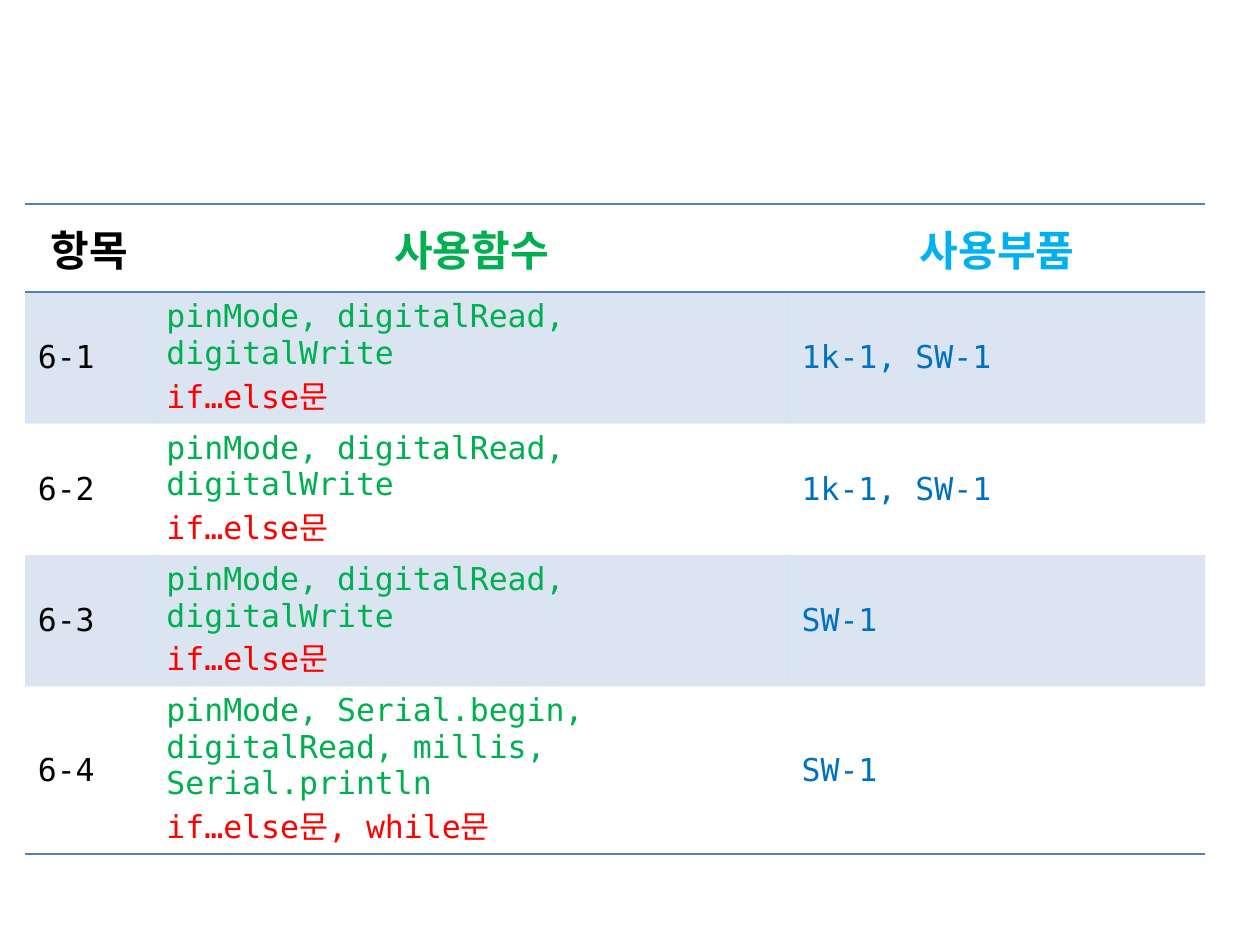
from lxml.etree import SubElement
from pptx import Presentation
from pptx.dml.color import RGBColor
from pptx.enum.text import MSO_ANCHOR as Anchor, PP_ALIGN as Align
from pptx.oxml.ns import qn
from pptx.util import Pt

BLUE = "4F81BD"
KOREAN_FACE = "Noto Sans CJK KR"
COLUMN_WIDTHS = (73.5, 363, 238)
ROW_HEIGHT = 50.4
HEADER_FORMAT = {"size": Pt(24), "name": KOREAN_FACE, "bold": True}
BODY_FORMAT = {"size": Pt(18), "name": "DejaVu Sans Mono", "bold": False}
HEADINGS = (("항목", "000000"), ("사용함수", "00B050"), ("사용부품", "00B0F0"))
DIGITAL = "pinMode, digitalRead, digitalWrite"
SERIAL = "pinMode, Serial.begin, digitalRead, millis, Serial.println"
EXERCISES = (
    ("6-1", DIGITAL, "if…else문", "1k-1, SW-1"),
    ("6-2", DIGITAL, "if…else문", "1k-1, SW-1"),
    ("6-3", DIGITAL, "if…else문", "SW-1"),
    ("6-4", SERIAL, "if…else문, while문", "SW-1"),
)


def color(value):
    """Turn a hex string into a colour."""
    return RGBColor.from_string(value)


def write_cell(cell, lines, text_format, align):
    """Write one coloured paragraph for each (wording, colour) pair."""
    cell.vertical_anchor = Anchor.MIDDLE
    for index, (wording, shade) in enumerate(lines):
        frame = cell.text_frame
        paragraph = frame.add_paragraph() if index else frame.paragraphs[0]
        paragraph.alignment = align
        run = paragraph.add_run()
        run.text = wording
        for key, value in text_format.items():
            setattr(run.font, key, value)
        run.font.color.rgb = color(shade)
        SubElement(run.font._element, qn("a:ea"), typeface=KOREAN_FACE)


def rule_cell(cell, sides):
    """Draw thin blue rules on the given sides of a cell, top first."""
    for side in sides:
        rule = SubElement(cell._tc.get_or_add_tcPr(), qn(f"a:ln{side}"), w=str(Pt(1)))
        SubElement(SubElement(rule, qn("a:solidFill")), qn("a:srgbClr"), val=BLUE)


def fill_cell(cell, banded):
    """Tint a banded cell and leave the others clear."""
    if not banded:
        cell.fill.background()
        return
    cell.fill.solid()
    cell.fill.fore_color.rgb = color(BLUE)
    tint = cell._tc.tcPr.find(f".//{qn('a:srgbClr')}")
    SubElement(tint, qn("a:alpha"), val="20000")


def add_exercise_table(slide, left, top):
    """Place the table of exercises, functions and parts."""
    rows = [([[heading] for heading in HEADINGS], HEADER_FORMAT, Align.CENTER)]
    for item, functions, statements, parts in EXERCISES:
        lines = [[(item, "000000")],
                 [(functions, "00B050"), (statements, "FF0000")],
                 [(parts, "0070C0")]]
        rows.append((lines, BODY_FORMAT, Align.LEFT))
    table = slide.shapes.add_table(
        len(rows), len(COLUMN_WIDTHS), Pt(left), Pt(top),
        Pt(sum(COLUMN_WIDTHS)), Pt(ROW_HEIGHT * len(rows))).table
    style = table._tbl.tblPr.find(qn("a:tableStyleId"))
    style.text = "{2D5ABB26-0587-4C30-8999-92F81FD0307C}"
    table.horz_banding = False
    for column, width in zip(table.columns, COLUMN_WIDTHS):
        column.width = Pt(width)
    rules = {0: "TB", len(rows) - 1: "B"}
    for index, (contents, text_format, align) in enumerate(rows):
        table.rows[index].height = Pt(ROW_HEIGHT)
        for cell, lines in zip(table.rows[index].cells, contents):
            write_cell(cell, lines, text_format, align)
            rule_cell(cell, rules.get(index, ""))
            fill_cell(cell, index % 2 == 1)


def main():
    """Build and save the slide."""
    deck = Presentation()
    deck.slide_width, deck.slide_height = Pt(720), Pt(540)
    slide = deck.slides.add_slide(deck.slide_layouts[6])
    add_exercise_table(slide, 14.4, 116.6)
    deck.save("out.pptx")


if __name__ == "__main__":
    main()
